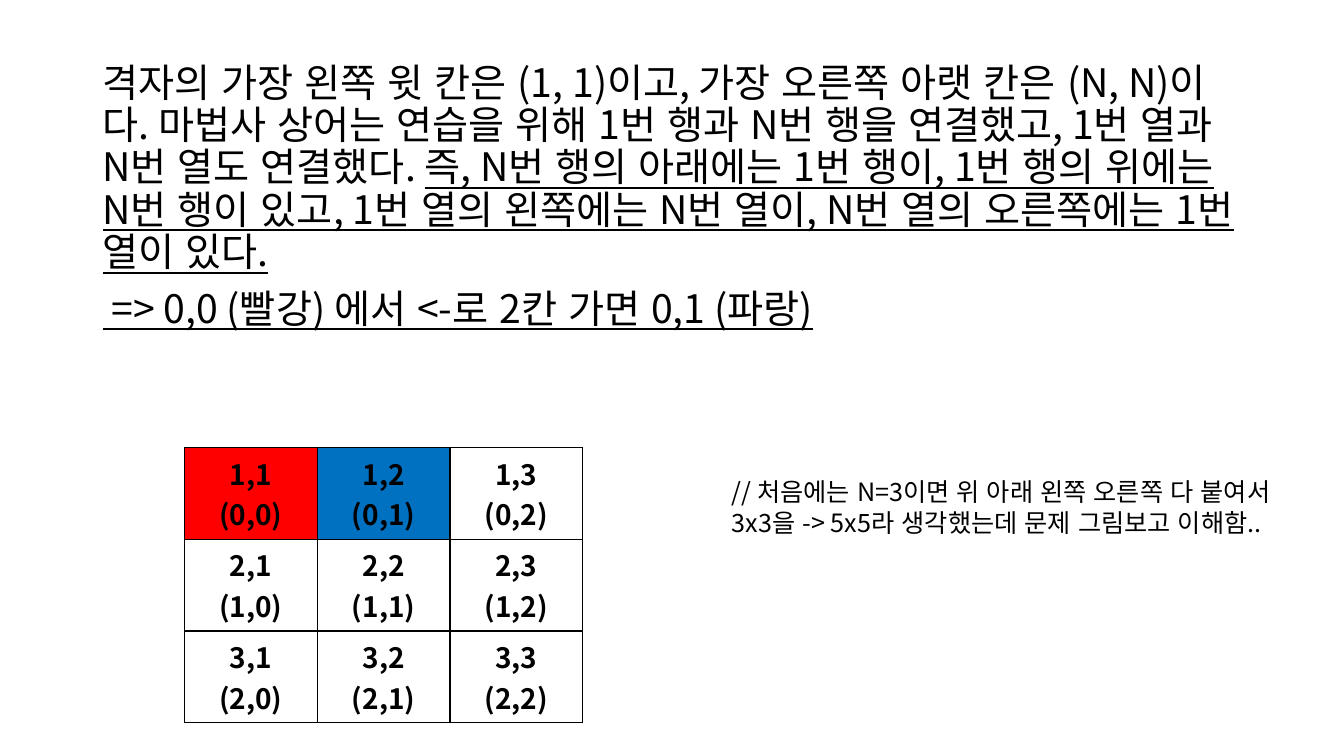
from dataclasses import dataclass
from lxml import etree
from pptx import Presentation
from pptx.dml.color import RGBColor as Rgb
from pptx.enum.lang import MSO_LANGUAGE_ID as Lang
from pptx.enum.text import MSO_AUTO_SIZE as Fit, PP_ALIGN as Align
from pptx.oxml import parse_xml
from pptx.oxml.ns import qn
from pptx.util import Inches, Pt

FONT = "Noto Sans CJK KR"
BLACK, WHITE, RED, BLUE = "000000", "FFFFFF", "FF0000", "0070C0"
NS = "http://schemas.openxmlformats.org/drawingml/2006/main"
SIZE = 3
ROW = Inches(0.91)

RULE = (
    "격자의 가장 왼쪽 윗 칸은 (1, 1)이고, 가장 오른쪽 아랫 칸은 (N, N)이다. "
    "마법사 상어는 연습을 위해 1번 행과 N번 행을 연결했고, "
    "1번 열과 N번 열도 연결했다. "
)
WRAP = (
    "즉, N번 행의 아래에는 1번 행이, 1번 행의 위에는 N번 행이 있고, "
    "1번 열의 왼쪽에는 N번 열이, N번 열의 오른쪽에는 1번 열이 있다."
)
MOVE = " => 0,0 (빨강) 에서 <-로 2칸 가면 0,1 (파랑)"
NOTE = (
    "// 처음에는 N=3이면 위 아래 왼쪽 오른쪽 다 붙여서\n"
    "3x3을 -> 5x5라 생각했는데 문제 그림보고 이해함.."
)


@dataclass
class Span:
    """A stretch of text with its underline."""
    text: str
    line: bool = False


def tint(code: str) -> Rgb:
    """Turn a hex string into a colour."""
    return Rgb.from_string(code)


def style(run, size: int, bold: bool = False, line: bool = False) -> None:
    """Set the font of one run, for Latin and Korean text alike."""
    font = run.font
    font.name, font.size = FONT, Pt(size)
    font.bold, font.underline = bold, line
    font.color.rgb = tint(BLACK)
    font.language_id = Lang.KOREAN
    ea = etree.SubElement(run._r.get_or_add_rPr(), qn("a:ea"))
    ea.set("typeface", FONT)


def add_body(slide, paras: list[list[Span]]) -> None:
    """Add the explanation, one list of spans per paragraph."""
    box = slide.shapes.add_textbox(
        Inches(0.92), Inches(0.58), Inches(11.5), Inches(3.61))
    frame = box.text_frame
    frame.word_wrap = True
    for i, spans in enumerate(paras):
        para = frame.add_paragraph() if i else frame.paragraphs[0]
        para.line_spacing, para.space_before = 0.9, Pt(10)
        for span in spans:
            run = para.add_run()
            run.text = span.text
            style(run, 28, line=span.line)


def add_edges(cell) -> None:
    """Draw a thin black line on all four sides of a cell."""
    props = cell._tc.get_or_add_tcPr()
    for i, side in enumerate("LRTB"):
        props.insert(i, parse_xml(
            f'<a:ln{side} xmlns:a="{NS}" w="{Pt(1)}"><a:solidFill>'
            f'<a:srgbClr val="{BLACK}"/></a:solidFill></a:ln{side}>'))


def add_grid(slide, fills: dict[tuple[int, int], str]) -> None:
    """Add the grid, each cell counted from one and from zero."""
    table = slide.shapes.add_table(
        SIZE, SIZE, Inches(1.83), Inches(4.44),
        Inches(3.95), ROW * SIZE).table
    table.first_row = table.horz_banding = False
    for row in range(SIZE):
        for col in range(SIZE):
            cell = table.cell(row, col)
            cell.text_frame.text = f"{row + 1},{col + 1}\n({row},{col})"
            for para in cell.text_frame.paragraphs:
                para.alignment = Align.CENTER
                style(para.runs[0], 20, bold=True)
            cell.fill.solid()
            cell.fill.fore_color.rgb = tint(fills.get((row, col), WHITE))
            add_edges(cell)


def add_note(slide) -> None:
    """Add the remark beside the grid."""
    box = slide.shapes.add_textbox(
        Inches(7.16), Inches(4.68), Inches(6.17), Inches(0.71))
    frame = box.text_frame
    frame.word_wrap, frame.auto_size = False, Fit.SHAPE_TO_FIT_TEXT
    frame.text = NOTE
    for para in frame.paragraphs:
        style(para.runs[0], 18)


deck = Presentation()
deck.slide_width, deck.slide_height = Inches(13.33), Inches(7.5)
slide = deck.slides.add_slide(deck.slide_layouts[6])
add_body(slide, [[Span(RULE), Span(WRAP, True)], [Span(MOVE, True)]])
add_grid(slide, {(0, 0): RED, (0, 1): BLUE})
add_note(slide)
deck.save("out.pptx")
